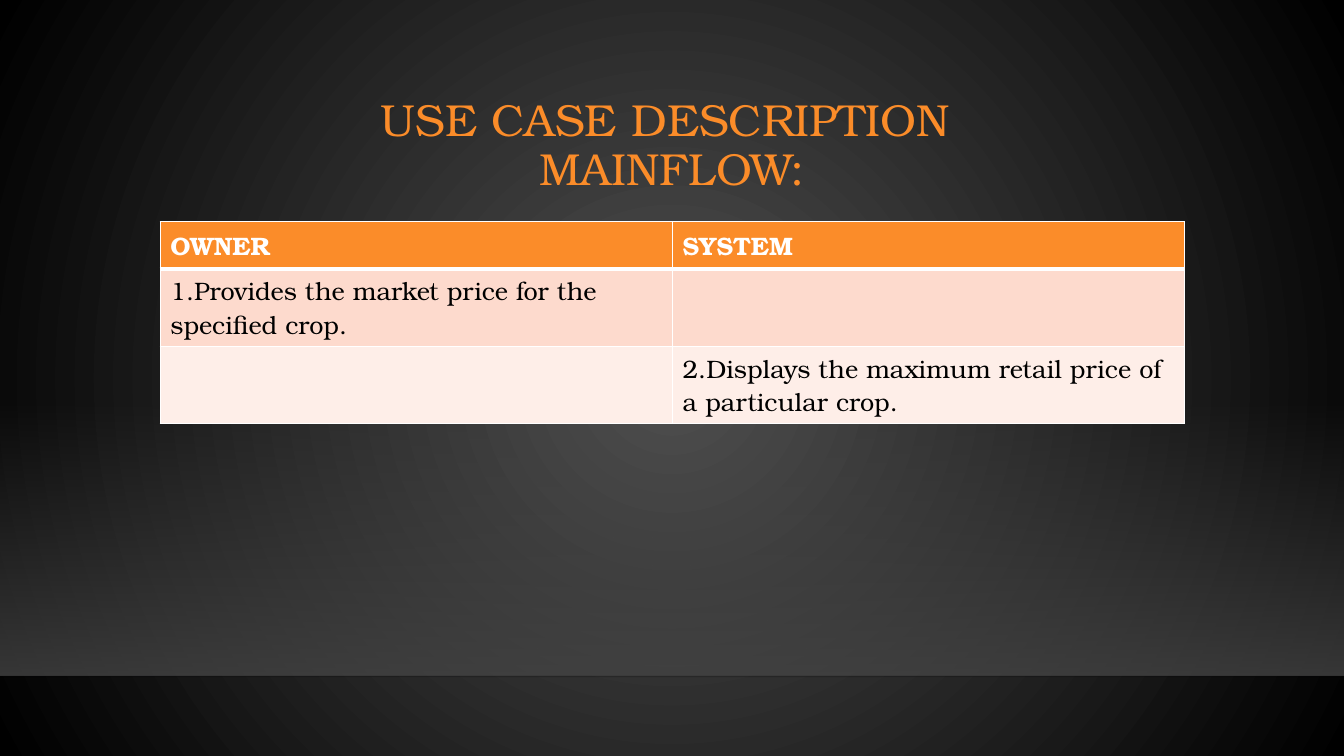
from dataclasses import dataclass

from lxml.etree import _Element, SubElement
from pptx import Presentation
from pptx.dml.color import RGBColor
from pptx.dml.fill import FillFormat
from pptx.enum.shapes import MSO_CONNECTOR, MSO_SHAPE
from pptx.enum.text import MSO_ANCHOR, MSO_AUTO_SIZE, PP_ALIGN
from pptx.oxml.ns import qn
from pptx.slide import Slide
from pptx.table import _Cell
from pptx.text.text import _Paragraph
from pptx.util import Inches, Pt

FONT = "TeX Gyre Bonum"
COLORS = {
    "accent": "FB8C29",
    "center": "505050",
    "edge": "000000",
    "floor": "454545",
    "horizon": "000001",
    "header_text": "FFFFFF",
    "body_text": "000000",
    "border": "FFFFFF",
    "odd_row": "FDDACD",
    "even_row": "FEEEE8",
}


@dataclass
class Stop:
    position: int
    color: str
    opacity: int = 100


@dataclass
class FlowRow:
    owner: str
    system: str
    fill: str
    text_color: str
    height: float
    top_border: int = 1
    bottom_border: int = 1
    bold: bool = False


FLOW = [
    FlowRow("OWNER", "SYSTEM", "accent", "header_text", 0.46, bottom_border=3, bold=True),
    FlowRow("1.Provides the market price for the specified crop.", "",
            "odd_row", "body_text", 0.77, top_border=3),
    FlowRow("", "2.Displays the maximum retail price of a particular crop.",
            "even_row", "body_text", 0.77),
]


def rgb(name: str) -> RGBColor:
    return RGBColor.from_string(COLORS[name])


def add_color(parent: _Element, name: str, opacity: int = 100) -> None:
    color = SubElement(parent, qn("a:srgbClr"), val=COLORS[name])
    if opacity < 100:
        SubElement(color, qn("a:alpha"), val=str(opacity * 1000))


def paint_gradient(fill: FillFormat, owner: _Element, stops: list[Stop], radial: bool) -> None:
    fill.gradient()
    gradient = next(owner.iter(qn("a:gradFill")))
    for child in list(gradient):
        gradient.remove(child)
    stop_list = SubElement(gradient, qn("a:gsLst"))
    for stop in stops:
        add_color(SubElement(stop_list, qn("a:gs"), pos=str(stop.position * 1000)),
                  stop.color, stop.opacity)
    if radial:
        path = SubElement(gradient, qn("a:path"), attrib={"path": "circle"})
        SubElement(path, qn("a:fillToRect"), attrib=dict.fromkeys("ltrb", "50000"))
    else:
        SubElement(gradient, qn("a:lin"), ang="5400000", scaled="0")


def style_font(para: _Paragraph, size: int, color: str, bold: bool = False) -> None:
    para.font.name = FONT
    para.font.size = Pt(size)
    para.font.bold = bold
    para.font.color.rgb = rgb(color)


def add_backdrop(page: Slide) -> None:
    paint_gradient(page.background.fill, page.element,
                   [Stop(0, "center"), Stop(100, "edge")], radial=True)
    floor = page.shapes.add_shape(MSO_SHAPE.RECTANGLE, Inches(0), Inches(3.96),
                                  Inches(13.33), Inches(2.74))
    floor.shadow.inherit = False
    floor.line.fill.background()
    paint_gradient(floor.fill, floor.element,
                   [Stop(0, "floor", 0), Stop(100, "floor", 80)], radial=False)
    horizon = page.shapes.add_connector(MSO_CONNECTOR.STRAIGHT, Inches(0), Inches(6.71),
                                        Inches(13.33), Inches(6.71))
    horizon.line.width = Pt(1)
    horizon.line.color.rgb = rgb("horizon")
    color = next(horizon.element.spPr.iter(qn("a:srgbClr")))
    SubElement(color, qn("a:alpha"), val="20000")
    SubElement(horizon.element.spPr, qn("a:effectLst"))


def set_title(page: Slide) -> None:
    title = page.shapes.title
    title.left, title.top = Inches(1.59), Inches(0.88)
    title.width, title.height = Inches(10.16), Inches(1.15)
    frame = title.text_frame
    frame.text = "USE CASE DESCRIPTION \vMAINFLOW:"
    frame.word_wrap = True
    frame.auto_size = MSO_AUTO_SIZE.NONE
    frame.vertical_anchor = MSO_ANCHOR.MIDDLE
    para = frame.paragraphs[0]
    para.alignment = PP_ALIGN.CENTER
    para.line_spacing = 0.9
    style_font(para, 32, "accent")


def format_cell(cell: _Cell, text: str, row: FlowRow) -> None:
    properties = cell._tc.get_or_add_tcPr()
    borders = {"L": 1, "R": 1, "T": row.top_border, "B": row.bottom_border}
    for side, width in borders.items():
        border = SubElement(properties, qn(f"a:ln{side}"), w=str(Pt(width)))
        add_color(SubElement(border, qn("a:solidFill")), "border")
    cell.fill.solid()
    cell.fill.fore_color.rgb = rgb(row.fill)
    cell.text = text
    style_font(cell.text_frame.paragraphs[0], 18, row.text_color, row.bold)


def add_flow_table(page: Slide) -> None:
    height = sum(row.height for row in FLOW)
    table = page.shapes.add_table(len(FLOW), 2, Inches(1.59), Inches(2.2),
                                  Inches(10.16), Inches(height)).table
    for index, row in enumerate(FLOW):
        table.rows[index].height = Inches(row.height)
        for cell, text in zip(table.rows[index].cells, (row.owner, row.system)):
            format_cell(cell, text, row)


def main() -> None:
    deck = Presentation()
    deck.slide_width, deck.slide_height = Inches(13.33), Inches(7.5)
    page = deck.slides.add_slide(deck.slide_layouts[5])
    add_backdrop(page)
    set_title(page)
    add_flow_table(page)
    deck.save("out.pptx")


if __name__ == "__main__":
    main()
